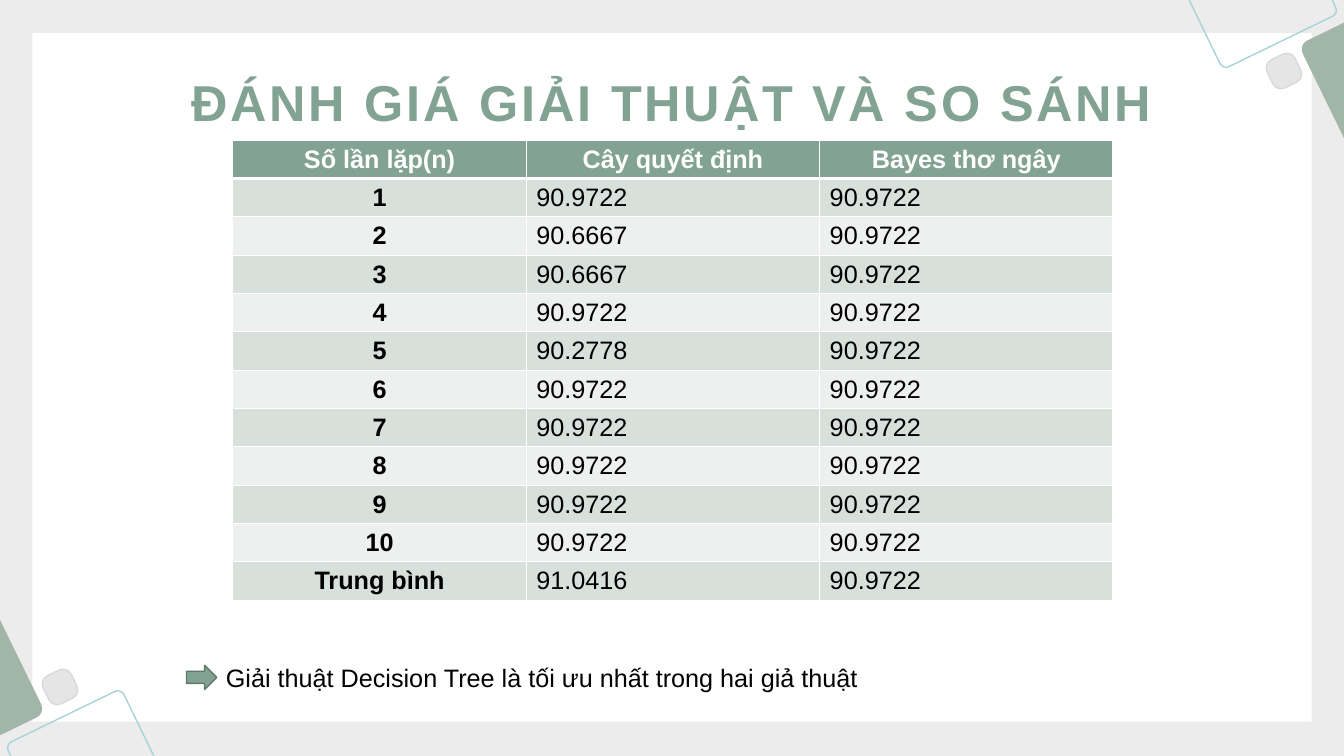
from lxml.etree import SubElement
from pptx import Presentation
from pptx.dml.color import RGBColor
from pptx.enum.shapes import MSO_SHAPE as Preset
from pptx.enum.text import MSO_ANCHOR as Anchor, MSO_AUTO_SIZE as AutoSize, PP_ALIGN as Align
from pptx.oxml.ns import qn
from pptx.util import Emu, Pt

TITLE = "ĐÁNH GIÁ GIẢI THUẬT VÀ SO SÁNH"
CONCLUSION = "Giải thuật Decision Tree là tối ưu nhất trong hai giả thuật"
HEADER = ("Số lần lặp(n)", "Cây quyết định", "Bayes thơ ngây")
RESULTS = [
    ("1", "90.9722", "90.9722"),
    ("2", "90.6667", "90.9722"),
    ("3", "90.6667", "90.9722"),
    ("4", "90.9722", "90.9722"),
    ("5", "90.2778", "90.9722"),
    ("6", "90.9722", "90.9722"),
    ("7", "90.9722", "90.9722"),
    ("8", "90.9722", "90.9722"),
    ("9", "90.9722", "90.9722"),
    ("10", "90.9722", "90.9722"),
    ("Trung bình", "91.0416", "90.9722"),
]

FONT = "Arial"
GREEN, WHITE, BLACK = "82A393", "FFFFFF", "000000"
BANDS = ("D8E0DC", "EDF0EE")
SLIDE_WIDTH, SLIDE_HEIGHT = 1333, 750
TURN_SUM = (1333, 752)
TABLE_LEFT, TABLE_TOP, COLUMN_WIDTH, ROW_HEIGHT = 231, 139, 291, 38

FRAME = [(1179, -1), (1321, -1), (1325, 8), (1326, 11, 1325, 14, 1322, 16),
         (1219, 66), (1216, 68, 1212, 66, 1210, 63)]
WEDGE = [(1334, 22), (1334, 139), (1292, 53), (1290, 48, 1292, 42, 1297, 40)]
TILE = (1258, 55, 31)


def px(value):
    return Emu(round(value * 9144))


def color(code):
    return RGBColor.from_string(code)


def paint(shape, fill=None, line=None):
    shape.shadow.inherit = False
    if fill:
        shape.fill.solid()
        shape.fill.fore_color.rgb = color(fill)
    else:
        shape.fill.background()
    if line:
        shape.line.color.rgb = color(line)
        shape.line.width = Pt(1)
    else:
        shape.line.fill.background()


def add_preset(slide, preset, left, top, width, height, fill, line=None):
    shape = slide.shapes.add_shape(preset, px(left), px(top), px(width), px(height))
    paint(shape, fill, line)
    return shape


def write(text_frame, text, size=18, ink=BLACK, bold=False, align=Align.LEFT, spacing=0):
    paragraph = text_frame.paragraphs[0]
    paragraph.alignment = align
    run = paragraph.add_run()
    run.text = text
    run.font.name = FONT
    run.font.size = Pt(size)
    run.font.bold = bold
    run.font.color.rgb = color(ink)
    if spacing:
        run.font._element.set("spc", str(spacing * 100))


def flatten(outline, steps=5):
    points = []
    for segment in outline:
        if len(segment) == 2:
            points.append(segment)
            continue
        controls = [points[-1], segment[:2], segment[2:4], segment[4:]]
        for step in range(1, steps + 1):
            t = step / steps
            weights = ((1 - t) ** 3, 3 * t * (1 - t) ** 2, 3 * t * t * (1 - t), t ** 3)
            points.append(tuple(sum(w * point[axis] for w, point in zip(weights, controls))
                                for axis in (0, 1)))
    return points


def add_outline(slide, outline, turned, **paints):
    points = flatten(outline)
    if turned:
        points = [(TURN_SUM[0] - x, TURN_SUM[1] - y) for x, y in points]
    points = [(px(x), px(y)) for x, y in points]
    builder = slide.shapes.build_freeform(*points[0])
    builder.add_line_segments(points[1:], close=True)
    paint(builder.convert_to_shape(), **paints)


def add_corner(slide, turned):
    add_outline(slide, FRAME, turned, line="A6D3D6")
    add_outline(slide, WEDGE, turned, fill="A1B5A9")
    left, top, side = TILE
    if turned:
        left, top = TURN_SUM[0] - left - side, TURN_SUM[1] - top - side
    tile = add_preset(slide, Preset.ROUNDED_RECTANGLE, left, top, side, side, "E5E5E5", "D9D9D9")
    tile.adjustments[0] = 0.29
    tile.rotation = 154 if turned else 334


def add_borders(cell, widths):
    properties = cell._tc.get_or_add_tcPr()
    for side, width in widths.items():
        line = SubElement(properties, qn(f"a:ln{side}"), w=str(Pt(width)))
        fill = SubElement(line, qn("a:solidFill"))
        SubElement(fill, qn("a:srgbClr"), val=WHITE)


def add_results(slide):
    rows = [HEADER] + RESULTS
    frame = slide.shapes.add_table(
        len(rows), len(HEADER), px(TABLE_LEFT), px(TABLE_TOP),
        px(COLUMN_WIDTH * len(HEADER)), px(ROW_HEIGHT * len(rows)))
    table = frame.table
    for column in table.columns:
        column.width = px(COLUMN_WIDTH)
    for r, row in enumerate(rows):
        table.rows[r].height = px(ROW_HEIGHT)
        for c, text in enumerate(row):
            cell = table.cell(r, c)
            heading = r == 0 or c == 0
            add_borders(cell, {"L": 1, "R": 1, "T": 3 if r == 1 else 1, "B": 3 if r == 0 else 1})
            cell.fill.solid()
            cell.fill.fore_color.rgb = color(BANDS[(r - 1) % 2] if r else GREEN)
            write(cell.text_frame, text, ink=BLACK if r else WHITE, bold=heading,
                  align=Align.CENTER if heading else Align.LEFT)


def add_title(slide):
    title = slide.shapes.title
    slide.shapes.element.append(title.element)
    title.left, title.top, title.width, title.height = px(140), px(43), px(1053), px(116)
    title.text_frame.auto_size = AutoSize.NONE
    title.text_frame.vertical_anchor = Anchor.MIDDLE
    write(title.text_frame, TITLE, size=36, ink=GREEN, bold=True, align=Align.CENTER, spacing=2)


def add_conclusion(slide):
    box = slide.shapes.add_textbox(px(159), px(652), px(1015), px(40))
    box.text_frame.word_wrap = True
    box.text_frame.margin_left = px(65)
    write(box.text_frame, CONCLUSION)
    add_preset(slide, Preset.RIGHT_ARROW, 185, 660, 30, 24, GREEN, "60796D")


def main():
    presentation = Presentation()
    presentation.slide_width = px(SLIDE_WIDTH)
    presentation.slide_height = px(SLIDE_HEIGHT)
    slide = presentation.slides.add_slide(presentation.slide_layouts[5])
    slide.background.fill.solid()
    slide.background.fill.fore_color.rgb = color("ECECEC")
    add_preset(slide, Preset.RECTANGLE, 32, 33, 1269, 683, WHITE)
    for turned in (False, True):
        add_corner(slide, turned)
    add_title(slide)
    add_results(slide)
    add_conclusion(slide)
    presentation.save("out.pptx")


if __name__ == "__main__":
    main()
